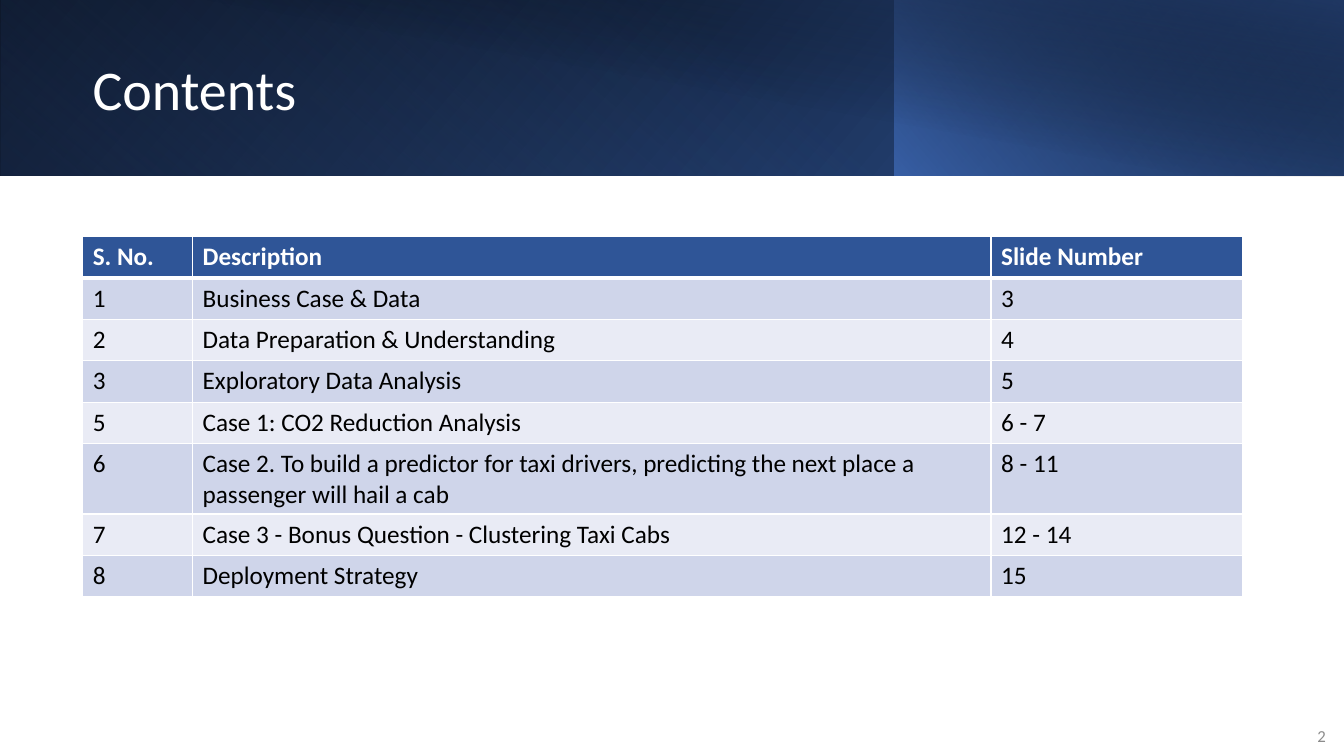
import pptx
import pptx.dml.color
import pptx.enum.shapes
import pptx.enum.text
import pptx.oxml.ns
import pptx.util
from lxml import etree

Inches = pptx.util.Inches
Pt = pptx.util.Pt
PP_ALIGN = pptx.enum.text.PP_ALIGN

CONTENTS = [
    ("S. No.", "Description", "Slide Number"),
    ("1", "Business Case & Data", "3"),
    ("2", "Data Preparation & Understanding", "4"),
    ("3", "Exploratory Data Analysis", "5"),
    ("5", "Case 1: CO2 Reduction Analysis", "6 - 7"),
    ("6", "Case 2. To build a predictor for taxi drivers, predicting the "
          "next place a passenger will hail a cab", "8 - 11"),
    ("7", "Case 3 - Bonus Question - Clustering Taxi Cabs", "12 - 14"),
    ("8", "Deployment Strategy", "15"),
]


def color(value):
    return pptx.dml.color.RGBColor.from_string(value)


def add_child(parent, tag, **attributes):
    return etree.SubElement(parent, pptx.oxml.ns.qn(tag), **attributes)


class ContentsSlide:
    font = "Calibri"
    white, black, navy = "FFFFFF", "000000", "2F5597"
    bands = ("E9EBF5", "CFD5EA")

    def __init__(self, slide):
        self.slide = slide

    def style(self, paragraph, size, font_color, bold=False):
        paragraph.font.name = self.font
        paragraph.font.size = Pt(size)
        paragraph.font.bold = bold
        paragraph.font.color.rgb = color(font_color)

    def gradient_band(self, left, width, height, angle, stops, flip=True, rotation=0):
        """Add a header rectangle; stops are (percent, colour, opacity percent)."""
        band = self.slide.shapes.add_shape(
            pptx.enum.shapes.MSO_SHAPE.RECTANGLE,
            Inches(left), 0, Inches(width), Inches(height))
        band.shadow.inherit = False
        band.line.fill.background()
        band.rotation = rotation
        if flip:
            band._element.spPr.xfrm.set("flipH", "1")
        band.fill.gradient()
        band.fill.gradient_angle = 360 - angle
        for stop, (position, stop_color, opacity) in zip(band.fill.gradient_stops, stops):
            stop.position = position / 100
            stop.color.rgb = color(stop_color)
            if opacity < 100:
                add_child(stop._gs[0], "a:alpha", val=str(opacity * 1000))

    def text(self, box, words, size, font_color, align=PP_ALIGN.LEFT, spacing=1.0):
        frame = self.slide.shapes.add_textbox(*map(Inches, box)).text_frame
        frame.word_wrap = True
        frame.vertical_anchor = pptx.enum.text.MSO_ANCHOR.MIDDLE
        paragraph = frame.paragraphs[0]
        paragraph.text = words
        paragraph.alignment = align
        paragraph.line_spacing = spacing
        self.style(paragraph, size, font_color)

    def borders(self, cell, widths):
        properties = cell._tc.get_or_add_tcPr()
        for side, width in zip("LRTB", widths):
            line = add_child(properties, f"a:ln{side}", w=str(Pt(width)))
            add_child(add_child(line, "a:solidFill"), "a:srgbClr", val=self.white)

    def table(self, left, top, column_widths, row_height, rows):
        table = self.slide.shapes.add_table(
            len(rows), len(column_widths), Inches(left), Inches(top),
            Inches(sum(column_widths)), Inches(row_height * len(rows))).table
        for column, width in zip(table.columns, column_widths):
            column.width = Inches(width)
        for r, row in enumerate(rows):
            table.rows[r].height = Inches(row_height)
            header = r == 0
            for c, words in enumerate(row):
                cell = table.cell(r, c)
                cell.text = words
                self.style(cell.text_frame.paragraphs[0], 18,
                           self.white if header else self.black, bold=header)
                self.borders(cell, (1, 1, 3 if r == 1 else 1, 3 if header else 1))
                cell.fill.solid()
                cell.fill.fore_color.rgb = color(self.navy if header else self.bands[r % 2])


def main():
    deck = pptx.Presentation()
    deck.slide_width, deck.slide_height = Inches(13.33), Inches(7.5)
    page = ContentsSlide(deck.slides.add_slide(deck.slide_layouts[6]))

    page.gradient_band(0, 13.33, 1.74, 140, [(0, "000000", 100), (100, "2F5597", 100)])
    page.gradient_band(0, 8.88, 1.74, 230, [(20, "4472C4", 0), (100, "203864", 55)],
                       rotation=180)
    page.gradient_band(8.87, 4.46, 1.74, 220, [(0, "4472C4", 66), (100, "000000", 30)])
    page.gradient_band(0.5, 12.83, 1.75, 280, [(50, "000000", 0), (99, "203864", 52)],
                       flip=False)

    page.text((0.82, 0.35, 10.82, 1.13), "Contents", 40, page.white, spacing=0.9)
    page.table(0.82, 2.35, (1.09, 7.92, 2.49), 0.41, CONTENTS)
    page.text((12.65, 7.1, 0.6, 0.4), "2", 12, "8C8C8C", align=PP_ALIGN.RIGHT)
    deck.save("out.pptx")


if __name__ == "__main__":
    main()
